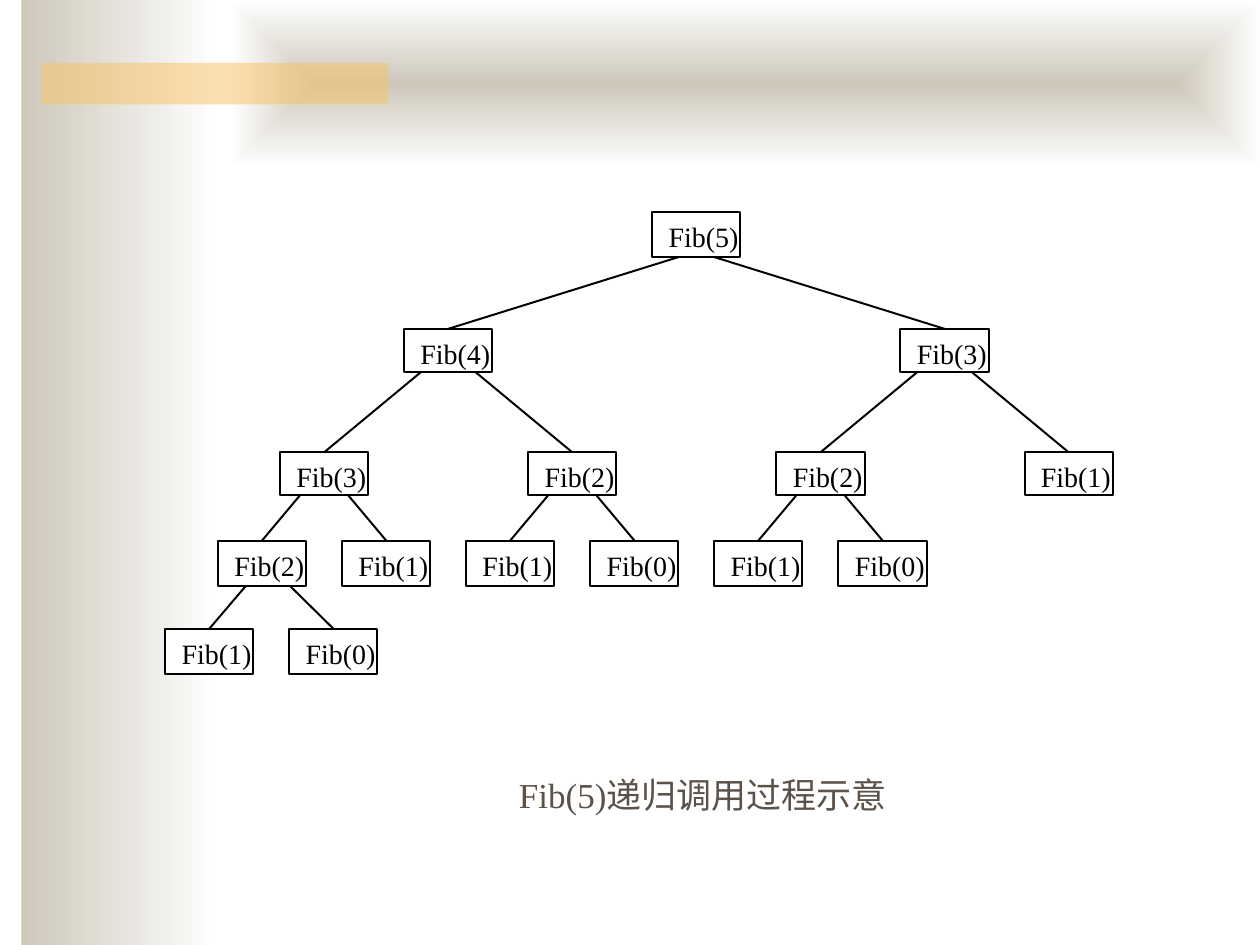
"""Build a slide with the call tree of a recursive Fib(5)."""
from lxml.etree import SubElement
from pptx import Presentation
from pptx.dml.color import RGBColor
from pptx.enum.shapes import MSO_CONNECTOR as Link, MSO_SHAPE as Shape
from pptx.enum.text import MSO_ANCHOR as Anchor, PP_ALIGN as Align
from pptx.oxml.ns import qn
from pptx.util import Inches, Pt

BLACK = RGBColor(0x00, 0x00, 0x00)
WHITE = RGBColor(0xFF, 0xFF, 0xFF)
SAND = RGBColor(0xCE, 0xC8, 0xBA)
AMBER = RGBColor(0xFA, 0xC1, 0x64)
BROWN = RGBColor(0x5B, 0x52, 0x49)
FONT = "Times New Roman"
LINE_WIDTH = Pt(1.13)
FIRST_COLUMN, COLUMN = 2.08, 0.49
BOX_WIDTH = 0.7

# level: top, height, drop to the fork, left and right arm of the fork
LEVELS = [
    (1.68, 0.36, 0.36, -0.14, 0.14),
    (2.61, 0.34, 0.28, -0.14, 0.14),
    (3.59, 0.34, 0.28, -0.14, 0.14),
    (4.29, 0.36, 0.28, -0.06, 0.14),
    (4.99, 0.36, 0, 0, 0),
]
# calls, deepest first: level, column, argument, column of the caller
CALLS = [
    (4, -0.85, 1, 0), (4, 1.15, 0, 0),
    (3, 0, 2, 1), (3, 2, 1, 1), (3, 4, 1, 5),
    (3, 6, 0, 5), (3, 8, 1, 9), (3, 10, 0, 9),
    (2, 1, 3, 3), (2, 5, 2, 3), (2, 9, 2, 11), (2, 13, 1, 11),
    (1, 3, 4, 7), (1, 11, 3, 7),
    (0, 7, 5, None),
]


def add_box(left, top, width, height):
    box = shapes.add_shape(Shape.RECTANGLE, Inches(left), Inches(top), Inches(width), Inches(height))
    box.shadow.inherit = False
    box.line.fill.background()
    return box


def column_x(column):
    return FIRST_COLUMN + column * COLUMN * 1.005


prs = Presentation()
prs.slide_width, prs.slide_height = Inches(10), Inches(7.5)
shapes = prs.slides.add_slide(prs.slide_layouts[6]).shapes

side_band = add_box(0.17, 0, 1.58, 7.5)
title_band = add_box(1.83, 0, 8.17, 1.33)
for band in (side_band, title_band):
    band.fill.gradient()
    band.fill.gradient_angle = 0
    for stop, color in zip(band.fill.gradient_stops, (SAND, WHITE)):
        stop.color.rgb = color

gradient = title_band._element.spPr.find(qn("a:gradFill"))
gradient.remove(gradient.find(qn("a:lin")))
center = SubElement(gradient, qn("a:path"), {"path": "rect"})
SubElement(center, qn("a:fillToRect"), {side: "50000" for side in "ltrb"})

accent = add_box(0.33, 0.5, 2.75, 0.33)
accent.fill.solid()
accent.fill.fore_color.rgb = AMBER
accent_color = accent._element.spPr.find(qn("a:solidFill"))[0]
SubElement(accent_color, qn("a:alpha"), {"val": "50000"})

caption = shapes.add_textbox(Inches(4.02), Inches(6.09), Inches(3.25), Inches(0.44))
caption.text_frame.word_wrap = False
title = caption.text_frame.paragraphs[0]
title.text = "Fib(5)递归调用过程示意"
title.font.name, title.font.size = FONT, Pt(20)
title.font.color.rgb = BROWN

for level, column, argument, caller in CALLS:
    top, height = LEVELS[level][:2]
    x = column_x(column)
    call = add_box(x - BOX_WIDTH / 2, top, BOX_WIDTH, height)
    call.fill.solid()
    call.fill.fore_color.rgb = WHITE
    call.line.color.rgb = BLACK
    call.line.width = LINE_WIDTH

    frame = call.text_frame
    frame.word_wrap = True
    frame.vertical_anchor = Anchor.TOP
    frame.margin_left, frame.margin_top = Inches(0.13), Inches(0.06)
    frame.margin_right = frame.margin_bottom = 0
    label = frame.paragraphs[0]
    label.text = f"Fib({argument})"
    label.alignment = Align.LEFT
    label.font.name, label.font.size = FONT, Pt(16)
    label.font.color.rgb = BLACK

    if caller is not None:
        caller_top, _, drop, left_arm, right_arm = LEVELS[level - 1]
        fork_x = column_x(caller) + (left_arm if column < caller else right_arm)
        branch = shapes.add_connector(
            Link.STRAIGHT, Inches(fork_x), Inches(caller_top + drop), Inches(x), Inches(top))
        branch.end_connect(call, 0)
        branch.line.color.rgb = BLACK
        branch.line.width = LINE_WIDTH
        SubElement(branch._element.spPr, qn("a:effectLst"))

prs.save("out.pptx")
